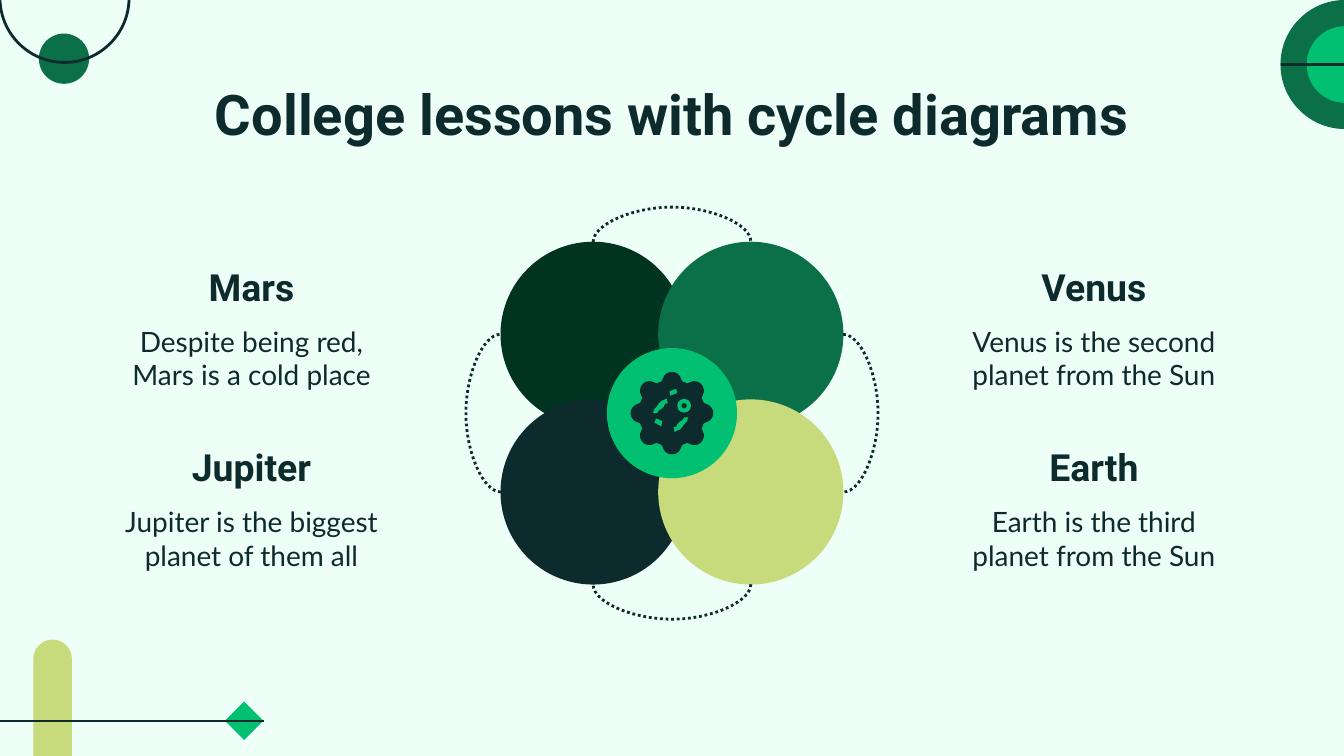
from math import cos, hypot, pi, radians, sin, sqrt

from pptx import Presentation
from pptx.dml.color import RGBColor
from pptx.enum.dml import MSO_LINE
from pptx.enum.shapes import MSO_CONNECTOR as Link, MSO_SHAPE as Shape
from pptx.enum.text import MSO_ANCHOR as Anchor, PP_ALIGN as Align
from pptx.oxml.ns import qn
from pptx.util import Cm, Pt
from lxml import etree

MINT = RGBColor(0xEE, 0xFF, 0xF7)
INK = RGBColor(0x0D, 0x2B, 0x2C)
FOREST = RGBColor(0x00, 0x34, 0x20)
GREEN = RGBColor(0x0B, 0x70, 0x47)
BRIGHT = RGBColor(0x02, 0xC0, 0x71)
LIME = RGBColor(0xC7, 0xDB, 0x7C)

# Content: column, row, name, note, petal colour
TITLE = "College lessons with cycle diagrams"
PLANETS = [
    (0, 0, "Mars", "Despite being red, Mars is a cold place", FOREST),
    (1, 0, "Venus", "Venus is the second planet from the Sun", GREEN),
    (0, 1, "Jupiter", "Jupiter is the biggest planet of them all", INK),
    (1, 1, "Earth", "Earth is the third planet from the Sun", LIME),
]

# Measures in centimetres
MID_X, MID_Y = 12.7, 7.81
PETAL, STEP, HUB = 3.5, 2.98, 2.46
REACH = (PETAL + STEP) / 2
BULGE, THIN = 0.66, 0.01
TEXT_X, TEXT_Y, TEXT_W = 2.01, 4.55, 5.49
COL_GAP, ROW_GAP = 15.92, 3.41

# Cell icon, measured from its centre
BODY, KNOB, KNOB_AT, KNOBS = 0.63, 0.18, 0.6, 8
BARS = [
    [(-0.2, 0.25), (-0.33, 0.18), (-0.3, 0.1), (-0.18, 0.15)],
    [(-0.03, -0.33), (-0.05, -0.41), (0.08, -0.46), (0.1, -0.38)],
]
WORM = [(-0.08, -0.18), (-0.13, -0.18), (-0.15, -0.13), (-0.2, -0.08),
        (-0.25, -0.05), (-0.28, 0), (-0.36, 0), (-0.33, -0.08),
        (-0.28, -0.13), (-0.25, -0.18), (-0.2, -0.23), (-0.15, -0.25),
        (-0.1, -0.28)]
TWIN = [(-0.05 - x, 0.08 - y) for x, y in WORM]
EYE_X, EYE_Y = 0.23, -0.14

deck = Presentation()
deck.slide_width, deck.slide_height = Cm(25.4), Cm(14.29)
slide = deck.slides.add_slide(deck.slide_layouts[6])
slide.background.fill.solid()
slide.background.fill.fore_color.rgb = MINT
shapes = slide.shapes


def paint(shape, color):
    shape.shadow.inherit = False
    shape.fill.solid()
    shape.fill.fore_color.rgb = color
    shape.line.fill.background()
    return shape


def block(kind, x, y, w, h, color):
    return paint(shapes.add_shape(kind, Cm(x), Cm(y), Cm(w), Cm(h)), color)


def disc(x, y, size, color):
    return block(Shape.OVAL, x - size / 2, y - size / 2, size, size, color)


def link(kind, x1, y1, x2, y2):
    line = shapes.add_connector(kind, Cm(x1), Cm(y1), Cm(x2), Cm(y2))
    line.line.color.rgb = INK
    line.line.width = Pt(1.5)
    etree.SubElement(line._element.spPr, qn("a:effectLst"))
    return line


def arc(turn):
    """Dotted curve joining two petals, bulging outward at the given angle."""
    x = MID_X + REACH * cos(radians(turn))
    y = MID_Y + REACH * sin(radians(turn))
    line = link(Link.CURVE, x - THIN / 2, y - STEP / 2,
                x + THIN / 2, y + STEP / 2)
    line.line.dash_style = MSO_LINE.ROUND_DOT
    props = line._element.spPr
    props.find(qn("a:xfrm")).set("rot", str(turn * 60000))
    geom = props.find(qn("a:prstGeom"))
    guides = geom.find(qn("a:avLst"))
    if guides is None:
        guides = etree.SubElement(geom, qn("a:avLst"))
    size = round(BULGE / THIN * 100000)
    etree.SubElement(guides, qn("a:gd"), name="adj1", fmla=f"val {size}")


def outline(points, color):
    spots = [(Cm(MID_X + x), Cm(MID_Y + y)) for x, y in points]
    pen = shapes.build_freeform(*spots[0])
    pen.add_line_segments(spots[1:])
    paint(pen.convert_to_shape(), color)


def label(text, x, y, w, h, font, size, bold=False, anchor=Anchor.TOP):
    frame = shapes.add_textbox(Cm(x), Cm(y), Cm(w), Cm(h)).text_frame
    frame.word_wrap = True
    frame.vertical_anchor = anchor
    frame.margin_left = frame.margin_right = Cm(0.25)
    frame.margin_top = frame.margin_bottom = Cm(0.25)
    frame.text = text
    para = frame.paragraphs[0]
    para.alignment = Align.CENTER
    face = para.runs[0].font
    face.name, face.size, face.bold = font, Pt(size), bold
    face.color.rgb = INK


def rim(angle):
    """Icon radius: the body, or a knob where one sticks out."""
    pitch = 2 * pi / KNOBS
    off = angle - round(angle / pitch) * pitch
    side = KNOB_AT * sin(off)
    if abs(side) > KNOB:
        return BODY
    return max(BODY, KNOB_AT * cos(off) + sqrt(KNOB ** 2 - side ** 2))


# Corner ornaments
block(Shape.DIAMOND, 4.25, 13.26, 0.73, 0.73, BRIGHT)
bar = block(Shape.ROUNDED_RECTANGLE, 0.63, 12.09, 0.73, 3.43, LIME)
bar.adjustments[0] = 0.5
link(Link.STRAIGHT, 0, 13.63, 4.98, 13.63)
disc(25.42, 1.22, 2.44, GREEN)
disc(25.42, 1.22, 1.45, BRIGHT)
link(Link.STRAIGHT, 24.2, 1.22, 26.63, 1.22)
disc(1.21, 1.11, 0.95, GREEN)
ring = disc(1.22, -0.04, 2.44, INK)
ring.fill.background()
ring.line.color.rgb = INK
ring.line.width = Pt(1.5)

# Title and planet texts
label(TITLE, 2, 1.25, 21.4, 1.6, "Roboto", 30, True)
for col, row, name, note, color in PLANETS:
    x, y = TEXT_X + col * COL_GAP, TEXT_Y + row * ROW_GAP
    label(name, x, y, TEXT_W, 1.54, "Roboto", 20, True, Anchor.BOTTOM)
    label(note, x, y + 1.33, TEXT_W, 1.81, "Lato", 15)

# Petals, curves and hub
for col, row, name, note, color in PLANETS:
    disc(MID_X + (col - 0.5) * STEP, MID_Y + (row - 0.5) * STEP, PETAL, color)
for turn in range(0, 360, 90):
    arc(turn)
disc(MID_X, MID_Y, HUB, BRIGHT)

# Cell icon
angles = [radians(a) for a in range(0, 360, 3)]
outline([(rim(a) * cos(a), rim(a) * sin(a)) for a in angles], INK)
for mark in BARS + [WORM, TWIN]:
    outline(mark, BRIGHT)
disc(MID_X + EYE_X, MID_Y + EYE_Y, 0.26, BRIGHT)
disc(MID_X + EYE_X, MID_Y + EYE_Y, 0.1, INK)

deck.save("out.pptx")
